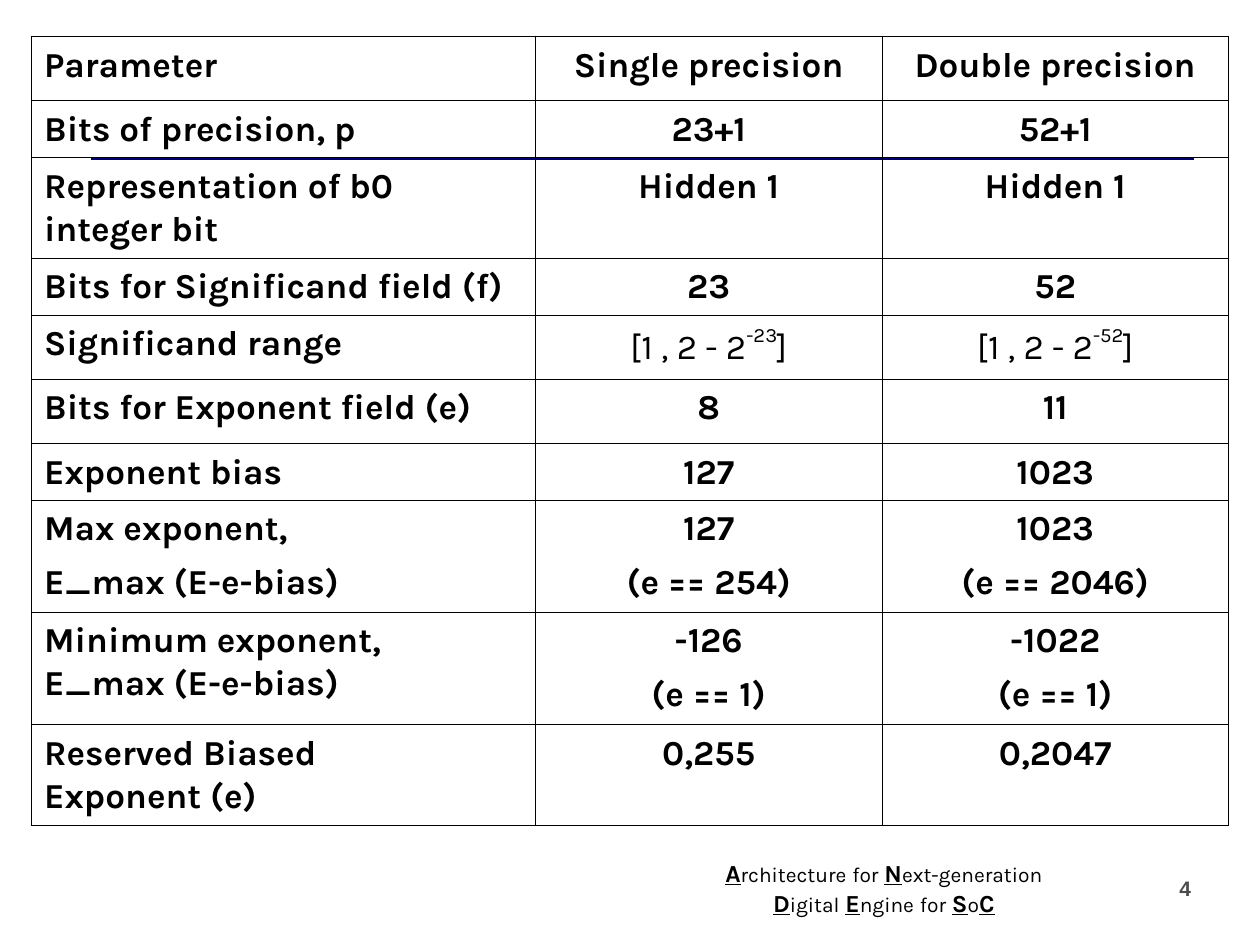
from dataclasses import dataclass
from itertools import groupby

from lxml.etree import SubElement
from pptx import Presentation
from pptx.dml.color import RGBColor
from pptx.enum.shapes import MSO_CONNECTOR
from pptx.enum.text import MSO_ANCHOR, PP_ALIGN
from pptx.oxml.ns import qn
from pptx.util import Emu, Inches, Pt

COLORS = {"ink": "000000", "rule": "000066", "number": "4D4D4D"}
FONT = "Karla"
COLUMNS, ROWS = 40, 30  # the slide's layout grid
CELL = Inches(0.25)
THIN, THICK = 0.45, 1.08  # table border widths in points


@dataclass
class Box:
    """A place on the layout grid, in columns and rows."""
    left: float
    top: float
    width: float
    height: float

    def place(self) -> tuple:
        return tuple(grid(n) for n in (self.left, self.top, self.width, self.height))


@dataclass
class Parameter:
    """One table row; '^' surrounds a superscript, '\\v' breaks a line."""
    height: float
    label: str
    single: str
    double: str
    bold_values: bool = True


COLUMN_WIDTHS = (16, 11, 11)
PARAMETERS = [
    Parameter(2.04, "Parameter", "Single precision", "Double precision"),
    Parameter(1.8, "Bits of precision, p", "23+1", "52+1"),
    Parameter(3.2, "Representation of b0 \vinteger bit", "Hidden 1", "Hidden 1"),
    Parameter(1.8, "Bits for Significand field (f)", "23", "52"),
    Parameter(2.04, "Significand range", "[1 , 2 - 2^-23^]", "[1 , 2 - 2^-52^]", False),
    Parameter(2.04, "Bits for Exponent field (e)", "8", "11"),
    Parameter(1.8, "Exponent bias", "127", "1023"),
    Parameter(3.56, "Max exponent,\nE_max (E-e-bias)", "127\n(e == 254)", "1023\n(e == 2046)"),
    Parameter(3.56, "Minimum exponent,\vE_max (E-e-bias)", "-126\n(e == 1)", "-1022\n(e == 1)"),
    Parameter(3.2, "Reserved Biased \vExponent (e)", "0,255", "0,2047"),
]
FOOTER_LINES = ("Architecture for Next-generation", "Digital Engine for SoC")


def grid(cells: float) -> Emu:
    return Emu(round(cells * CELL))


def style(run, size: float, bold: bool, color: str = "ink", font: str = FONT) -> None:
    run.font.size = Pt(size)
    run.font.bold = bold
    run.font.name = font
    run.font.color.rgb = RGBColor.from_string(COLORS[color])


def add_border(cell, side: str, width: float) -> None:
    border = SubElement(cell._tc.get_or_add_tcPr(), qn(f"a:ln{side}"), w=str(Pt(width)))
    fill = SubElement(border, qn("a:solidFill"))
    SubElement(fill, qn("a:srgbClr"), val=COLORS["ink"])


def fill_cell(cell, words: str, align: PP_ALIGN, bold: bool) -> None:
    cell.margin_left = cell.margin_right = Inches(0.1)
    cell.margin_top = cell.margin_bottom = Inches(0.05)
    plain, *raised = words.split("^")
    cell.text_frame.text = plain
    for part in raised:
        cell.text_frame.paragraphs[0].add_run().text = part
    for paragraph in cell.text_frame.paragraphs:
        paragraph.alignment = align
        paragraph.line_spacing = 1.05
        paragraph.space_after = Pt(6.2)
        for index, run in enumerate(paragraph.runs):
            style(run, 20, bold)
            if raised and index == 1:
                run.font._element.set("baseline", "50000")


def add_parameter_table(slide) -> None:
    box = Box(1, 1.16, sum(COLUMN_WIDTHS), sum(p.height for p in PARAMETERS))
    last_row, last_column = len(PARAMETERS) - 1, len(COLUMN_WIDTHS) - 1
    table = slide.shapes.add_table(last_row + 1, last_column + 1, *box.place()).table
    table.first_row = table.horz_banding = False
    for column, width in zip(table.columns, COLUMN_WIDTHS):
        column.width = grid(width)
    for r, parameter in enumerate(PARAMETERS):
        table.rows[r].height = grid(parameter.height)
        for c, words in enumerate((parameter.label, parameter.single, parameter.double)):
            cell = table.cell(r, c)
            align = PP_ALIGN.CENTER if c else PP_ALIGN.LEFT
            fill_cell(cell, words, align, parameter.bold_values or c == 0)
            outer_sides = {"L": c == 0, "R": c == last_column, "T": r == 0, "B": r == last_row}
            for side, is_outer in outer_sides.items():
                add_border(cell, side, THICK if is_outer else THIN)
            cell.fill.background()


def add_rule(slide) -> None:
    rule = slide.shapes.add_connector(
        MSO_CONNECTOR.STRAIGHT, grid(2.88), grid(5.04), grid(37.92), grid(5.04))
    rule.line.color.rgb = RGBColor.from_string(COLORS["rule"])
    rule.line.width = Pt(1.5)
    SubElement(rule._element.spPr, qn("a:effectLst"))


def add_slide_number(slide) -> None:
    frame = slide.shapes.add_textbox(*Box(35.88, 27.6, 2.32, 1.2).place()).text_frame
    frame.word_wrap = True
    frame.text = "4"
    frame.paragraphs[0].alignment = PP_ALIGN.RIGHT
    style(frame.paragraphs[0].runs[0], 12, True, "number", "Arial")


def add_footer(slide) -> None:
    frame = slide.shapes.add_textbox(*Box(22.4, 27.32, 11.32, 2).place()).text_frame
    frame.word_wrap = True
    frame.vertical_anchor = MSO_ANCHOR.BOTTOM
    frame.margin_left = frame.margin_right = Inches(0.02)
    frame.text = "\n".join(FOOTER_LINES)
    for paragraph, line in zip(frame.paragraphs, FOOTER_LINES):
        paragraph.alignment = PP_ALIGN.CENTER
        paragraph.clear()
        # Capitals are large, bold and underlined; the other letters are small
        for (capital, gap), letters in groupby(line, lambda s: (s.isupper(), s.isspace())):
            run = paragraph.add_run()
            run.text = "".join(letters)
            style(run, 14 if capital or gap else 12, capital)
            run.font.underline = capital


def main() -> None:
    presentation = Presentation()
    presentation.slide_width = grid(COLUMNS)
    presentation.slide_height = grid(ROWS)
    slide = presentation.slides.add_slide(presentation.slide_layouts[6])
    add_slide_number(slide)
    add_rule(slide)
    add_footer(slide)
    add_parameter_table(slide)
    presentation.save("out.pptx")


if __name__ == "__main__":
    main()
